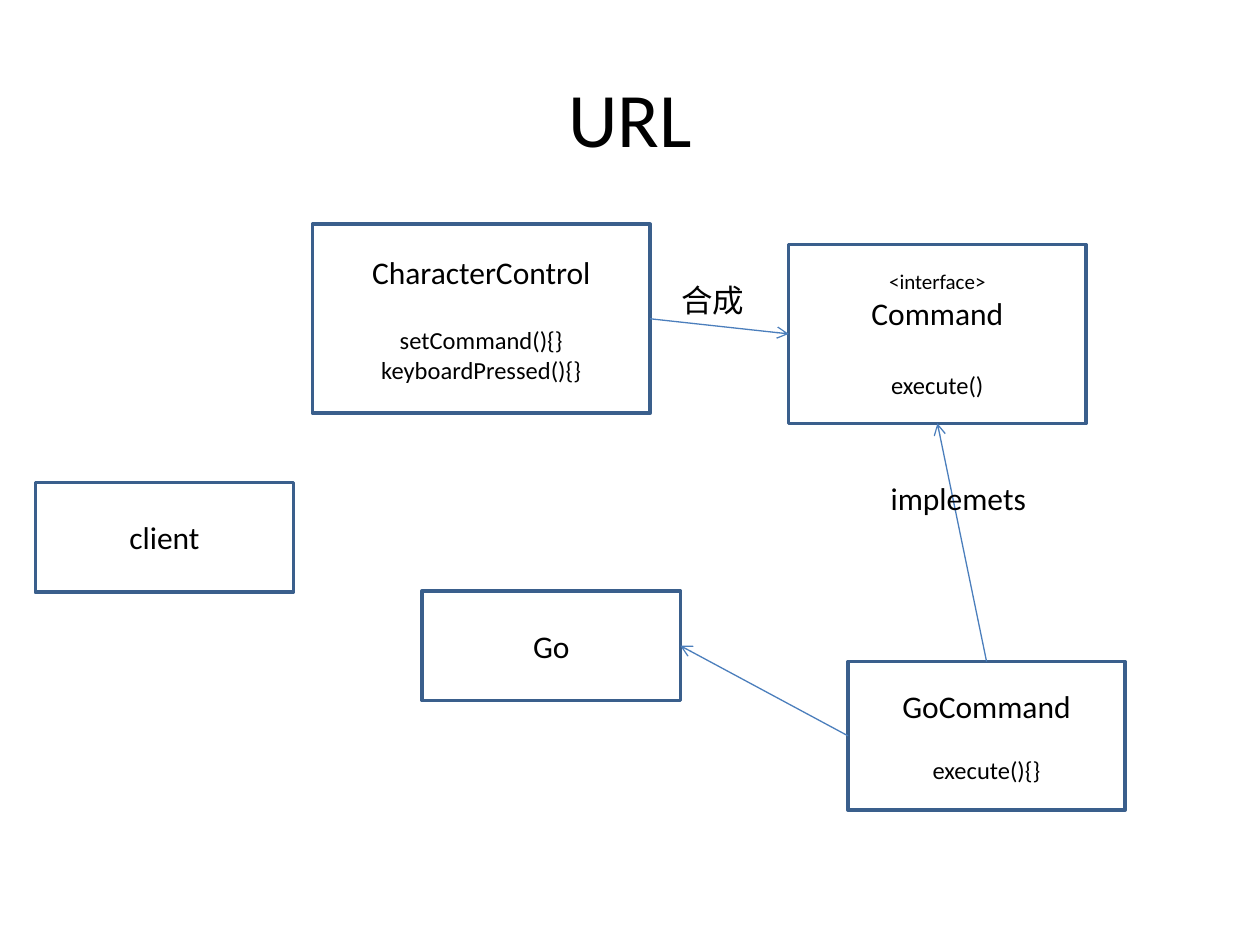
from lxml.etree import SubElement
from pptx import Presentation
from pptx.dml.color import RGBColor
from pptx.enum.shapes import MSO_CONNECTOR, MSO_SHAPE
from pptx.enum.text import MSO_ANCHOR, PP_ALIGN
from pptx.oxml.ns import qn
from pptx.util import Inches, Pt

TOP, LEFT, BOTTOM, RIGHT = range(4)


def write_text(shape, lines, color="000000", font="Calibri", align=PP_ALIGN.CENTER,
               anchor=MSO_ANCHOR.MIDDLE, wrap=True):
    """Fill a shape with lines given as (text, size, space before), in points."""
    frame = shape.text_frame
    frame.word_wrap = wrap
    frame.vertical_anchor = anchor
    for index, (text, size, space_before) in enumerate(lines):
        paragraph = frame.add_paragraph() if index else frame.paragraphs[0]
        paragraph.alignment = align
        paragraph.space_before = Pt(space_before)
        run = paragraph.add_run()
        run.text = text
        run.font.name = font
        run.font.size = Pt(size)
        run.font.color.rgb = RGBColor.from_string(color)


presentation = Presentation()
presentation.slide_width = Inches(10)
presentation.slide_height = Inches(7.5)
slide = presentation.slides.add_slide(presentation.slide_layouts[6])

title = slide.shapes.add_textbox(Inches(0.5), Inches(0.3), Inches(9), Inches(1.25))
write_text(title, [("URL", 44, 0)])

# Class boxes: name, left, top, width, height, lines
classes = [
    ("command", 6.26, 1.94, 2.36, 1.42,
     [("<interface>", 12, 0), ("Command", 18, 0), ("execute()", 14, 22)]),
    ("go", 3.35, 4.69, 2.05, 0.87, [("Go", 18, 0)]),
    ("control", 2.48, 1.78, 2.68, 1.5,
     [("CharacterControl", 18, 0), ("setCommand(){}", 14, 19.5),
      ("keyboardPressed(){}", 14, 0)]),
    ("go_command", 6.73, 5.25, 2.2, 1.18,
     [("GoCommand", 18, 0), ("execute(){}", 14, 17)]),
    ("client", 0.28, 3.83, 2.05, 0.87, [("client", 18, 0)]),
]
boxes = {}
for name, left, top, width, height, lines in classes:
    box = slide.shapes.add_shape(MSO_SHAPE.FLOWCHART_PROCESS, Inches(left), Inches(top),
                                 Inches(width), Inches(height))
    box.shadow.inherit = False
    box.fill.background()
    box.line.color.rgb = RGBColor.from_string("3A5F8C")
    box.line.width = Pt(2)
    write_text(box, lines)
    boxes[name] = box

relations = [
    ("go_command", TOP, "command", BOTTOM),
    ("control", RIGHT, "command", LEFT),
    ("go_command", LEFT, "go", RIGHT),
]
for source, source_side, target, target_side in relations:
    arrow = slide.shapes.add_connector(MSO_CONNECTOR.STRAIGHT, 0, 0, 0, 0)
    arrow.begin_connect(boxes[source], source_side)
    arrow.end_connect(boxes[target], target_side)
    arrow.line.color.rgb = RGBColor.from_string("4B7EBC")
    arrow.line.width = Pt(0.75)
    SubElement(arrow.line._get_or_add_ln(), qn("a:tailEnd"), type="arrow")
    SubElement(arrow._element.spPr, qn("a:effectLst"))

for text, left, top, width in [("implemets", 6.97, 3.75, 1.29), ("合成", 5.31, 2.18, 0.71)]:
    label = slide.shapes.add_textbox(Inches(left), Inches(top), Inches(width), Inches(0.4))
    write_text(label, [(text, 18, 0)], align=PP_ALIGN.LEFT, anchor=MSO_ANCHOR.TOP, wrap=False)

presentation.save("out.pptx")
